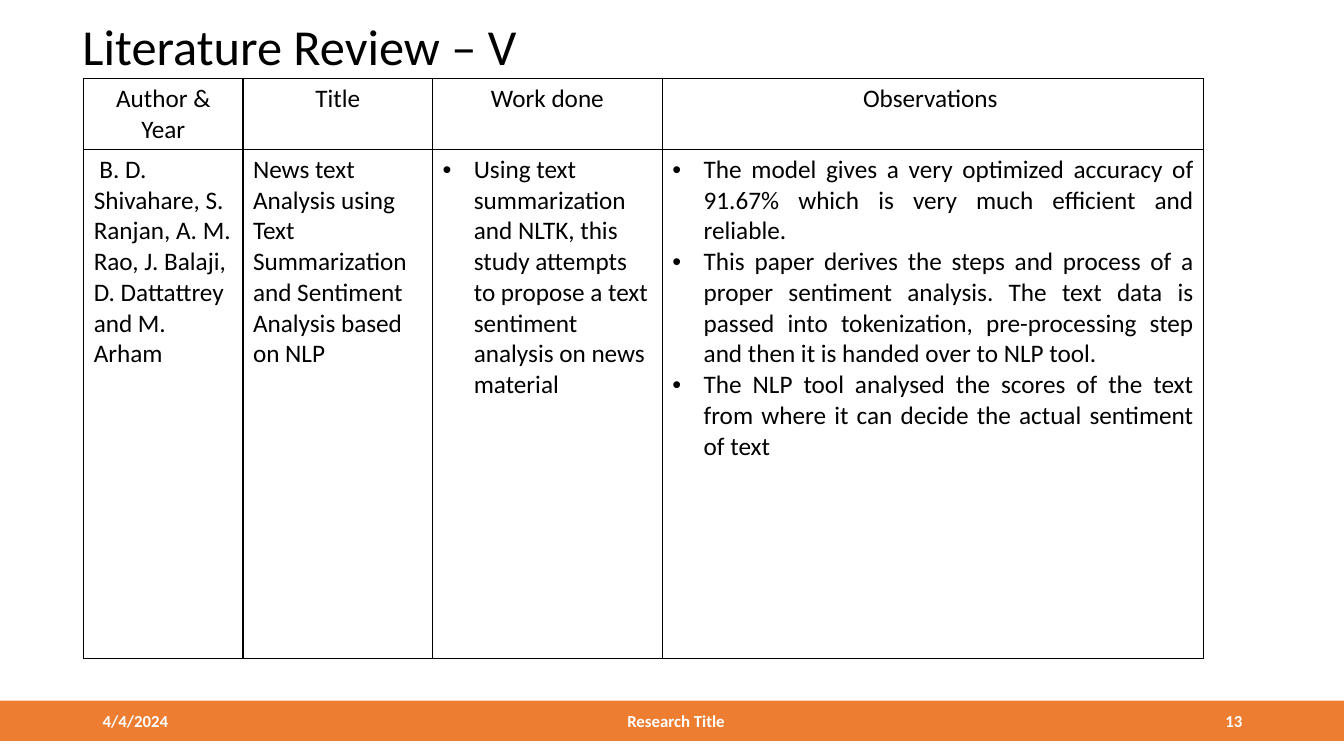
from lxml import etree
from pptx import Presentation
from pptx.dml.color import RGBColor
from pptx.enum.shapes import MSO_SHAPE
from pptx.enum.text import MSO_ANCHOR, PP_ALIGN
from pptx.oxml.ns import qn
from pptx.util import Inches, Pt

LEFT, CENTER, RIGHT, JUSTIFY = PP_ALIGN.LEFT, PP_ALIGN.CENTER, PP_ALIGN.RIGHT, PP_ALIGN.JUSTIFY
MIDDLE = MSO_ANCHOR.MIDDLE
RECTANGLE = MSO_SHAPE.RECTANGLE
COLORS = {"ink": "000000", "footer": "ED7D31", "footer_text": "FFFFFF"}
FONT = "Calibri"
FOOTER_TOP, FOOTER_HEIGHT = 6.95, 0.4

HEADINGS = ["Author & Year", "Title", "Work done", "Observations "]
COLUMN_WIDTHS = [1.58, 1.88, 2.28, 5.37]
ROW_HEIGHTS = [0.7, 5.05]
AUTHORS = [" B. D. Shivahare, S. Ranjan, A. M. Rao, J. Balaji, D. Dattattrey and M. Arham"]
PAPER = ["News text Analysis using Text Summarization and Sentiment Analysis based on NLP"]
WORK_DONE = ["Using text summarization and NLTK, this study attempts to propose "
             "a text sentiment analysis on news material"]
OBSERVATIONS = [
    "The model gives a very optimized accuracy of 91.67% which is very much efficient and reliable.",
    "This paper derives the steps and process of a proper sentiment analysis. The text data is "
    "passed into tokenization, pre-processing step and then it is handed over to NLP tool.",
    "The NLP tool analysed the scores of the text from where it can decide the actual sentiment of text",
]


def color(name):
    return RGBColor.from_string(COLORS[name])


def write(frame, lines, size=18, ink="ink", bold=False, align=LEFT, bullet=False, spacing=None):
    for index, line in enumerate(lines):
        para = frame.paragraphs[0] if index == 0 else frame.add_paragraph()
        para.alignment = align
        if spacing:
            para.line_spacing = spacing
        if bullet:
            properties = para._p.get_or_add_pPr()
            properties.set("marL", str(Inches(0.31)))
            properties.set("indent", str(Inches(-0.31)))
            etree.SubElement(properties, qn("a:buFont"), typeface="Arial")
            etree.SubElement(properties, qn("a:buChar"), char="•")
        span = para.add_run()
        span.text = line
        span.font.name = FONT
        span.font.size = Pt(size)
        span.font.bold = bold
        span.font.color.rgb = color(ink)


class SlideBuilder:
    def __init__(self, deck):
        self.page = deck.slides.add_slide(deck.slide_layouts[6])

    def bar(self, left, top, width, height, fill):
        box = self.page.shapes.add_shape(
            RECTANGLE, Inches(left), Inches(top), Inches(width), Inches(height))
        box.shadow.inherit = False
        box.fill.solid()
        box.fill.fore_color.rgb = color(fill)
        box.line.fill.background()

    def text(self, left, top, width, height, line, **style):
        box = self.page.shapes.add_textbox(
            Inches(left), Inches(top), Inches(width), Inches(height))
        box.text_frame.word_wrap = True
        box.text_frame.vertical_anchor = MIDDLE
        write(box.text_frame, [line], **style)

    def table(self, left, top, widths, heights, rows):
        table = self.page.shapes.add_table(
            len(heights), len(widths), Inches(left), Inches(top),
            Inches(sum(widths)), Inches(sum(heights))).table
        table.first_row = table.horz_banding = False
        for column, width in zip(table.columns, widths):
            column.width = Inches(width)
        for row, height in zip(table.rows, heights):
            row.height = Inches(height)
        for row, contents in zip(table.rows, rows):
            for cell, (lines, style) in zip(row.cells, contents):
                cell.fill.background()
                self.borders(cell)
                write(cell.text_frame, lines, **style)

    def borders(self, cell):
        properties = cell._tc.get_or_add_tcPr()
        for index, side in enumerate(("lnL", "lnR", "lnT", "lnB")):
            line = etree.Element(qn(f"a:{side}"), w=str(Pt(1)))
            fill = etree.SubElement(line, qn("a:solidFill"))
            etree.SubElement(fill, qn("a:srgbClr"), val=COLORS["ink"])
            properties.insert(index, line)


def main():
    deck = Presentation()
    deck.slide_width, deck.slide_height = Inches(13.33), Inches(7.5)
    slide = SlideBuilder(deck)

    # Footer band and title
    slide.bar(0, FOOTER_TOP, 13.33, FOOTER_HEIGHT, "footer")
    slide.text(0.72, 0.1, 11.5, 0.77, "Literature Review – V", size=36, spacing=0.9)

    # Review table
    header = [([heading], {"align": CENTER}) for heading in HEADINGS]
    review = [
        (AUTHORS, {}),
        (PAPER, {}),
        (WORK_DONE, {"bullet": True}),
        (OBSERVATIONS, {"bullet": True, "align": JUSTIFY}),
    ]
    slide.table(0.83, 0.78, COLUMN_WIDTHS, ROW_HEIGHTS, [header, review])

    # Footer texts
    for left, width, line, align in [
        (0.92, 3, "4/4/2024", LEFT),
        (3.55, 6.31, "Research Title", CENTER),
        (9.42, 3, "13", RIGHT),
    ]:
        slide.text(left, FOOTER_TOP, width, FOOTER_HEIGHT, line,
                   size=12, ink="footer_text", bold=True, align=align)

    deck.save("out.pptx")


if __name__ == "__main__":
    main()
